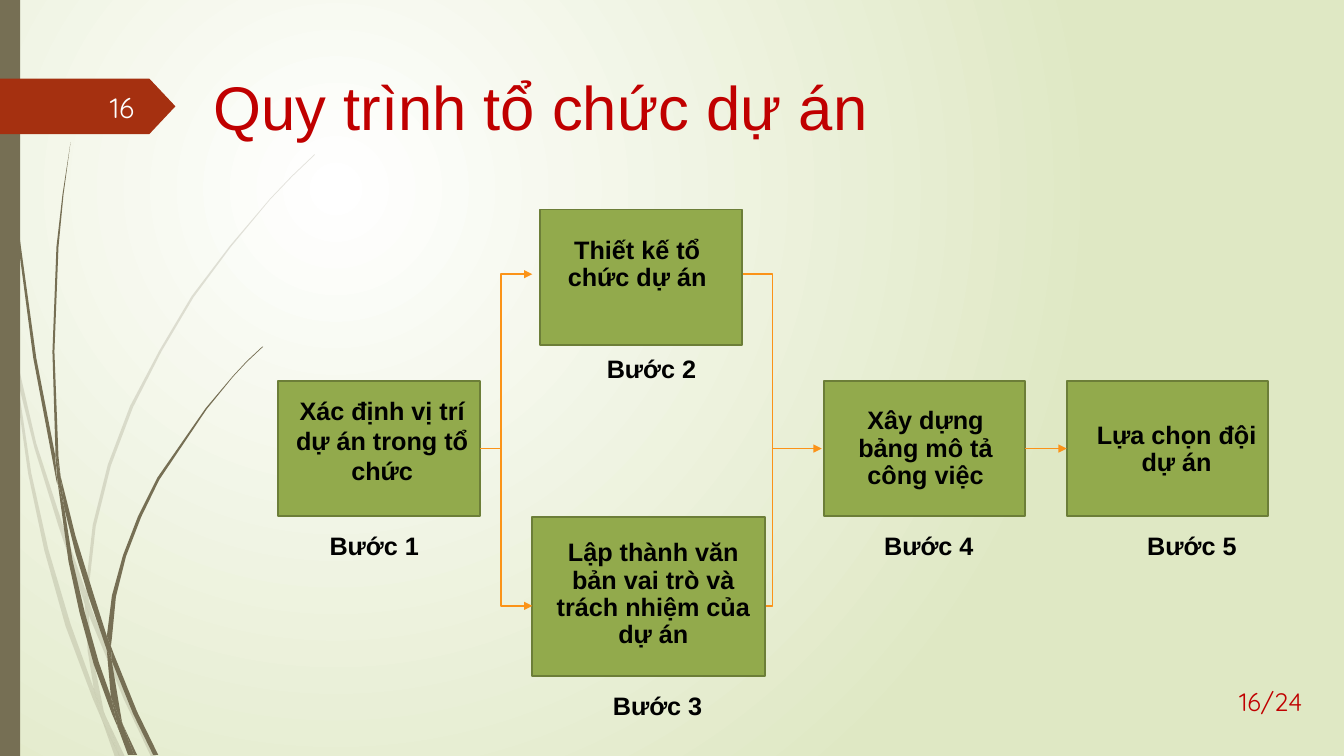
from lxml.etree import SubElement
from pptx import Presentation
from pptx.dml.color import RGBColor as RGB
from pptx.enum.shapes import MSO_CONNECTOR as CONN, MSO_SHAPE as SHAPE
from pptx.enum.text import MSO_ANCHOR as ANCHOR, PP_ALIGN as ALIGN
from pptx.oxml.ns import qn
from pptx.util import Inches, Pt

COLS, ROWS = 13.33, 7.5
COLORS = {
    "white": "FFFFFF", "mist": "DFE8C4", "stem": "766F54", "flag": "A53010",
    "red": "C00000", "box": "92AA4C", "edge": "6C7E38", "arrow": "FB9318",
    "black": "000000", "number": "FEFFFF",
}

PALE_BLADES = [
    [(.11, 3.5), (.09, 3.22), (0, 2.82), (0, 2.99), (.1, 3.44)],
    [(.58, 5.22), (.84, 5.99), (.85, 5.86), (.62, 5.2), (.36, 4.4), (.14, 3.45), (.17, 3.76), (.34, 4.44)],
    [(.92, 6.07), (.88, 5.96), (.88, 6.1), (1.23, 6.94), (1.5, 7.51), (1.55, 7.51), (1.27, 6.92)],
    [(1.19, 7.51), (1.24, 7.51), (1.05, 7.11)],
    [(.93, 6.83), (.7, 6.19), (.48, 5.45), (.31, 4.69), (.17, 3.76), (.11, 3.5), (.28, 4.7), (.44, 5.46),
     (.65, 6.21), (.92, 6.93), (1.01, 7.14), (.99, 7.07)],
    [(.84, 5.99), (.87, 6.46), (.93, 6.83), (.96, 6.92), (1.05, 7.11), (1.03, 7.06), (.91, 6.46),
     (.88, 6.1), (.88, 6.08)],
    [(.88, 5.84), (.95, 5.22), (1.1, 4.62), (1.32, 4.04), (1.6, 3.49), (1.92, 2.95), (2.29, 2.45),
     (2.68, 1.98), (2.9, 1.75), (3.12, 1.54), (3.12, 1.53), (2.89, 1.75), (2.68, 1.97), (2.28, 2.44),
     (1.9, 2.94), (1.58, 3.48), (1.29, 4.03), (1.07, 4.61), (.92, 5.21), (.85, 5.84), (.85, 5.86), (.88, 5.96)],
    [(1.01, 7.14), (1.14, 7.51), (1.19, 7.51)],
    [(.88, 6.08), (.88, 6.1), (.88, 5.96), (.85, 5.86), (.84, 5.99)],
    [(.96, 6.92), (.93, 6.83), (.99, 7.07), (1.01, 7.14), (1.19, 7.51), (1.05, 7.11)],
]
DARK_BLADES = [
    [(.07, 1.1), (.17, 2.33), (.33, 3.55), (.56, 4.77), (.57, 4.81), (.55, 4.57), (.55, 4.53), (.36, 3.55),
     (.19, 2.32), (.08, 1.09), (.05, .48), (.04, 0), (.03, 0), (.04, .48)],
    [(.88, 5.92), (1.06, 6.45), (1.06, 6.33), (1.06, 6.31), (.93, 5.9), (.75, 5.32), (.6, 4.72), (.64, 5.05),
     (.75, 5.49)],
    [(1.13, 6.49), (1.1, 6.41), (1.11, 6.56), (1.32, 7.08), (1.52, 7.49), (1.57, 7.49), (1.36, 7.06)],
    [(1.1, 6.91), (.98, 6.57), (.84, 6.07), (.72, 5.56), (.64, 5.05), (.57, 4.77), (.68, 5.57), (.79, 6.08),
     (.93, 6.59), (1.11, 7.08), (1.17, 7.22), (1.16, 7.17)],
    [(.6, 4.72), (.58, 4.53), (.54, 3.49), (.58, 2.45), (.63, 1.93), (.7, 1.41), (.62, 1.93), (.56, 2.45),
     (.52, 3.49), (.55, 4.49)],
    [(1.33, 7.49), (1.36, 7.49), (1.22, 7.19)],
    [(.57, 4.77), (.64, 5.05), (.6, 4.72), (.55, 4.49), (.55, 4.53)],
    [(1.11, 6.33), (1.15, 5.92), (1.25, 5.52), (1.4, 5.13), (1.58, 4.76), (2.05, 4.06), (2.31, 3.74),
     (2.45, 3.59), (2.61, 3.44), (2.6, 3.44), (2.45, 3.58), (2.31, 3.73), (2.04, 4.05), (1.56, 4.74),
     (1.37, 5.12), (1.22, 5.51), (1.11, 5.91), (1.06, 6.31), (1.1, 6.41)],
    [(1.17, 7.22), (1.27, 7.49), (1.31, 7.49)],
    [(1.06, 6.45), (1.1, 6.91), (1.16, 7.06), (1.22, 7.19), (1.21, 7.16), (1.11, 6.56), (1.09, 6.51)],
    [(1.06, 6.45), (1.09, 6.51), (1.11, 6.56), (1.1, 6.41), (1.06, 6.31), (1.06, 6.33)],
    [(1.16, 7.06), (1.1, 6.91), (1.16, 7.17), (1.17, 7.22), (1.3, 7.49), (1.33, 7.49), (1.22, 7.19)],
]

BOX_W, BOX_H, MAIN_ROW = 2, 1.34, 3.78
STEPS = [
    ((2.76, MAIN_ROW, BOX_W, BOX_H), (2.83, 3.87, 1.92, 1.01),
     "Xác định vị trí dự án trong tổ chức", 1, (3.17, 5.25)),
    ((5.36, 2.08, BOX_W, BOX_H), (5.36, 2.31, 1.92, .64),
     "Thiết kế tổ chức dự án", .9, (5.92, 3.49)),
    ((5.28, 5.13, 2.31, 1.58), (5.42, 5.31, 2.12, 1.19),
     "Lập thành văn bản vai trò và trách nhiệm của dự án", .9, (5.98, 6.83)),
    ((8.17, MAIN_ROW, BOX_W, BOX_H), (8.25, 4, 1.86, .92),
     "Xây dựng bảng mô tả công việc", .9, (8.67, 5.25)),
    ((10.58, MAIN_ROW, BOX_W, BOX_H), (10.77, 4.14, 1.8, .64),
     "Lựa chọn đội dự án", .9, (11.28, 5.25)),
]


class Deck:
    def __init__(self):
        self.prs = Presentation()
        self.prs.slide_width = self.unit(COLS)
        self.prs.slide_height = self.unit(ROWS)
        self.s = self.prs.slides.add_slide(self.prs.slide_layouts[6])

    def unit(self, cells):
        return Inches(cells)

    def color(self, name):
        return RGB.from_string(COLORS[name])

    def background(self, inner, outer):
        fill = self.s.background.fill
        fill.gradient()
        for stop, name, pos in zip(fill.gradient_stops, (inner, outer), (0, 1)):
            stop.color.rgb, stop.position = self.color(name), pos
        grad = self.s.background._cSld.find(".//" + qn("a:gradFill"))
        radial = SubElement(grad, qn("a:path"), {"path": "circle"})
        SubElement(radial, qn("a:fillToRect"),
                   {"l": "50000", "t": "50000", "r": "100000", "b": "100000"})
        grad.replace(grad.find(qn("a:lin")), radial)

    def paint(self, sp, fill=None, line=None, width=1):
        sp.shadow.inherit = False
        if fill:
            sp.fill.solid()
            sp.fill.fore_color.rgb = self.color(fill)
        else:
            sp.fill.background()
        if line:
            sp.line.color.rgb = self.color(line)
            sp.line.width = Pt(width)
        else:
            sp.line.fill.background()
        return sp

    def shape(self, kind, at, fill, line=None, width=1):
        sp = self.s.shapes.add_shape(kind, *map(self.unit, at))
        return self.paint(sp, fill, line, width)

    def outline(self, shapes, points, close, fill=None, line=None):
        pts = [(self.unit(x), self.unit(y)) for x, y in points]
        builder = shapes.build_freeform(*pts[0])
        builder.add_line_segments(pts[1:], close=close)
        return self.paint(builder.convert_to_shape(), fill, line)

    def grass(self, blades, alpha=100):
        group = self.s.shapes.add_group_shape()
        for points in blades:
            sp = self.outline(group.shapes, points, True, "stem")
            clr = sp._element.spPr.find(qn("a:solidFill"))[0]
            SubElement(clr, qn("a:alpha"), {"val": str(alpha * 1000)})

    def bracket(self, side, spine, top, bottom):
        points = [(side, bottom), (spine, bottom), (spine, top), (side, top)]
        return self.outline(self.s.shapes, points, False, line="arrow")

    def arrowheads(self, sp, *ends):
        ln = sp.line._get_or_add_ln()
        for end in ends:
            SubElement(ln, qn("a:" + end), {"type": "triangle"})

    def connector(self, start, end, source=None, target=None, arrow=False):
        c = self.s.shapes.add_connector(CONN.STRAIGHT, *map(self.unit, start + end))
        if source:
            c.begin_connect(source, 3)
        if target:
            c.end_connect(target, 1)
        c.line.color.rgb = self.color("arrow")
        c.line.width = Pt(1)
        SubElement(c._element.spPr, qn("a:effectLst"))
        if arrow:
            self.arrowheads(c, "tailEnd")

    def text(self, at, text, size=18, color="black", font="Arial", bold=False,
             align=ALIGN.LEFT, spacing=1, anchor=ANCHOR.TOP, wrap=True):
        tf = self.s.shapes.add_textbox(*map(self.unit, at)).text_frame
        tf.word_wrap = wrap
        tf.vertical_anchor = anchor
        p = tf.paragraphs[0]
        p.text = text
        p.alignment, p.line_spacing = align, spacing
        for r in p.runs:
            r.font.name, r.font.size, r.font.bold = font, Pt(size), bold
            r.font.color.rgb = self.color(color)


def main():
    d = Deck()
    d.background("white", "mist")
    d.grass(PALE_BLADES, alpha=20)
    d.grass(DARK_BLADES)
    d.shape(SHAPE.RECTANGLE, (0, 0, .2, ROWS), "stem")
    flag = d.shape(SHAPE.PENTAGON, (0, .78, 1.74, .55), "flag")
    flag.adjustments[0] = .47
    d.text((2.02, .63, 6.79, 1.4), "Quy trình tổ chức dự án", 44, "red")

    middle, top, bottom = MAIN_ROW + BOX_H / 2, 2.72, 6.01
    split, merge = 4.97, 7.66
    d.bracket(7.27, merge, top, bottom)
    boxes = [d.shape(SHAPE.RECTANGLE, step[0], "box", "edge", 1.25) for step in STEPS]
    d.arrowheads(d.bracket(5.28, split, top, bottom), "headEnd", "tailEnd")
    d.connector((4.76, middle), (split, middle), source=boxes[0])
    d.connector((merge, middle), (8.15, middle), arrow=True)
    d.connector((10.17, middle), (10.58, middle), boxes[3], boxes[4], True)

    for n, (_, at, text, spacing, label) in enumerate(STEPS, 1):
        d.text(at, text, bold=True, align=ALIGN.CENTER, spacing=spacing)
        d.text(label + (1.09, .37), f"Bước {n}", bold=True, spacing=.9, wrap=False)

    d.text((.58, .86, .85, .4), "16", 20, "number", "Quicksand",
           align=ALIGN.RIGHT, anchor=ANCHOR.MIDDLE)
    d.text((12.19, 6.76, .91, .4), "16/24", 18, "red", "Quicksand")
    d.prs.save("out.pptx")


if __name__ == "__main__":
    main()
